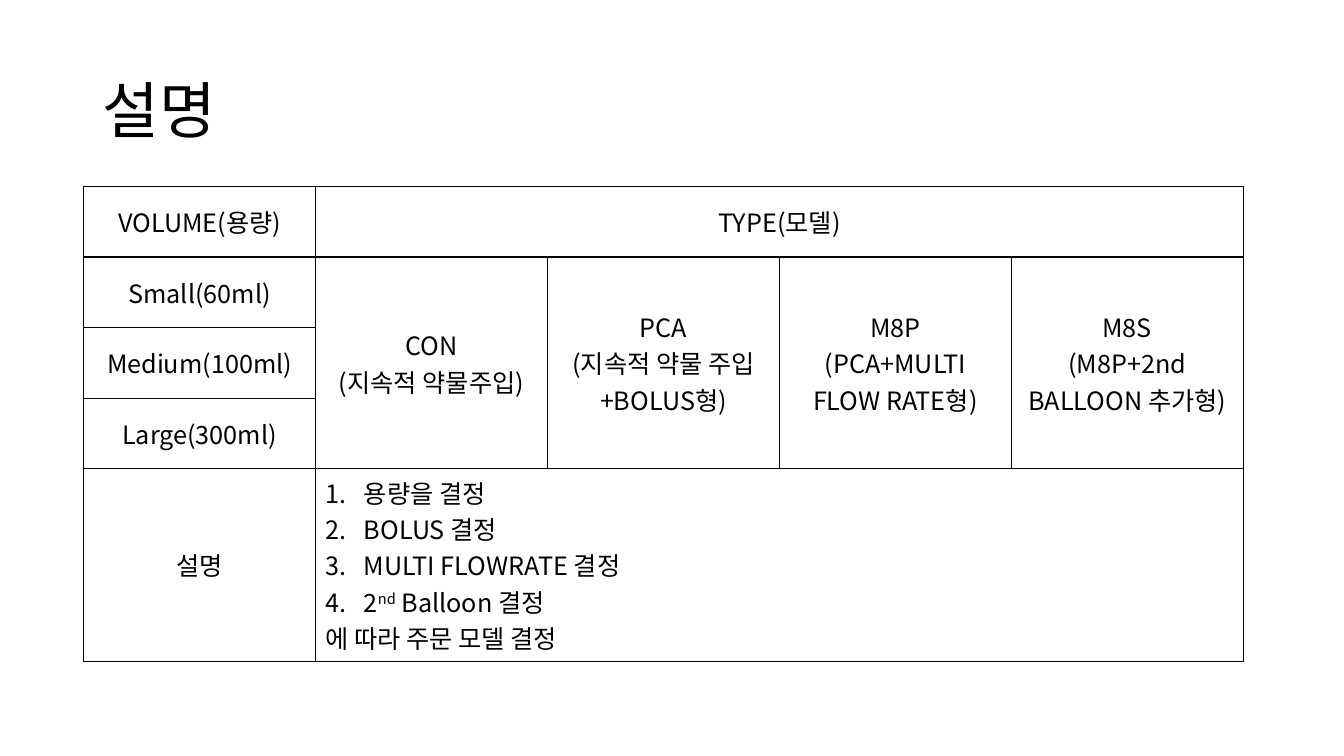
from dataclasses import dataclass

import lxml.etree
import pptx
import pptx.dml.color
import pptx.enum.text
import pptx.oxml.ns
import pptx.table
import pptx.text.text
import pptx.util

Inches = pptx.util.Inches
Pt = pptx.util.Pt
Align = pptx.enum.text.PP_ALIGN
Anchor = pptx.enum.text.MSO_ANCHOR
qn = pptx.oxml.ns.qn

BLACK = pptx.dml.color.RGBColor(0, 0, 0)
FONT = "Noto Sans CJK KR"
COL = 2.3
ROWS = [0.7, 0.7, 0.7, 0.7, 1.9]


@dataclass
class Run:
    text: str
    raised: bool = False


@dataclass
class Line:
    runs: list[Run]
    step: bool = False


@dataclass
class Entry:
    row: int
    col: int
    lines: list[Line]
    down: int = 1
    across: int = 1
    align: Align = Align.CENTER


def plain(*texts: str) -> list[Line]:
    return [Line([Run(text)]) for text in texts]


STEPS = [
    Line([Run("용량을 결정")], True),
    Line([Run("BOLUS 결정")], True),
    Line([Run("MULTI FLOWRATE 결정")], True),
    Line([Run("2"), Run("nd", True), Run(" Balloon 결정")], True),
    *plain("에 따라 주문 모델 결정"),
]
SIZES = ["VOLUME(용량)", "Small(60ml)", "Medium(100ml)", "Large(300ml)", "설명"]
TYPES = [
    ("CON", "(지속적 약물주입)"),
    ("PCA", "(지속적 약물 주입+BOLUS형)"),
    ("M8P", "(PCA+MULTI FLOW RATE형)"),
    ("M8S", "(M8P+2nd BALLOON 추가형)"),
]
ENTRIES = [
    *[Entry(row, 0, plain(text)) for row, text in enumerate(SIZES)],
    Entry(0, 1, plain("TYPE(모델)"), across=4),
    *[Entry(1, col, plain(*pair), down=3) for col, pair in enumerate(TYPES, 1)],
    Entry(4, 1, STEPS, across=4, align=Align.LEFT),
]


def add_run(para: pptx.text.text._Paragraph, item: Run, size: float) -> None:
    run = para.add_run()
    run.text = item.text
    run.font.size = Pt(size)
    run.font.name = FONT
    run.font.color.rgb = BLACK
    props = run._r.get_or_add_rPr()
    lxml.etree.SubElement(props, qn("a:ea"), typeface=FONT)
    if item.raised:
        props.set("baseline", "30000")


def number(para: pptx.text.text._Paragraph) -> None:
    """Give the paragraph an automatic number and a hanging indent."""
    props = para._p.get_or_add_pPr()
    props.set("marL", str(Inches(0.38)))
    props.set("indent", str(-Inches(0.38)))
    lxml.etree.SubElement(props, qn("a:buFont"), typeface="+mj-lt")
    lxml.etree.SubElement(props, qn("a:buAutoNum"), type="arabicPeriod")


def frame(cell: pptx.table._Cell) -> None:
    """Draw four black borders and clear the fill."""
    props = cell._tc.get_or_add_tcPr()
    for side in ("L", "R", "T", "B"):
        edge = lxml.etree.SubElement(props, qn(f"a:ln{side}"), w=str(Pt(1)))
        fill = lxml.etree.SubElement(edge, qn("a:solidFill"))
        lxml.etree.SubElement(fill, qn("a:srgbClr"), val=str(BLACK))
    cell.fill.background()


def write(table: pptx.table.Table, entry: Entry) -> None:
    cell = table.cell(entry.row, entry.col)
    if entry.down > 1 or entry.across > 1:
        cell.merge(table.cell(entry.row + entry.down - 1,
                              entry.col + entry.across - 1))
    cell.vertical_anchor = Anchor.MIDDLE
    text = cell.text_frame
    for i, line in enumerate(entry.lines):
        para = text.add_paragraph() if i else text.paragraphs[0]
        para.alignment = entry.align
        if line.step:
            number(para)
        for item in line.runs:
            add_run(para, item, 18)


def main() -> None:
    deck = pptx.Presentation()
    deck.slide_width, deck.slide_height = Inches(13.33), Inches(7.5)
    slide = deck.slides.add_slide(deck.slide_layouts[5])

    title = slide.shapes.title
    title.left, title.top = Inches(0.92), Inches(0.4)
    title.width, title.height = Inches(11.5), Inches(1.45)
    title.text_frame.vertical_anchor = Anchor.MIDDLE
    head = title.text_frame.paragraphs[0]
    head.alignment = Align.LEFT
    head.line_spacing = 0.9
    add_run(head, Run("설명"), 44)

    table = slide.shapes.add_table(
        len(ROWS), 5, Inches(0.83), Inches(1.85),
        Inches(5 * COL), Inches(sum(ROWS))).table
    table.first_row = table.horz_banding = False
    for col in table.columns:
        col.width = Inches(COL)
    for row, height in zip(table.rows, ROWS):
        row.height = Inches(height)
    for cell in table.iter_cells():
        frame(cell)
    for entry in ENTRIES:
        write(table, entry)

    deck.save("out.pptx")


if __name__ == "__main__":
    main()
